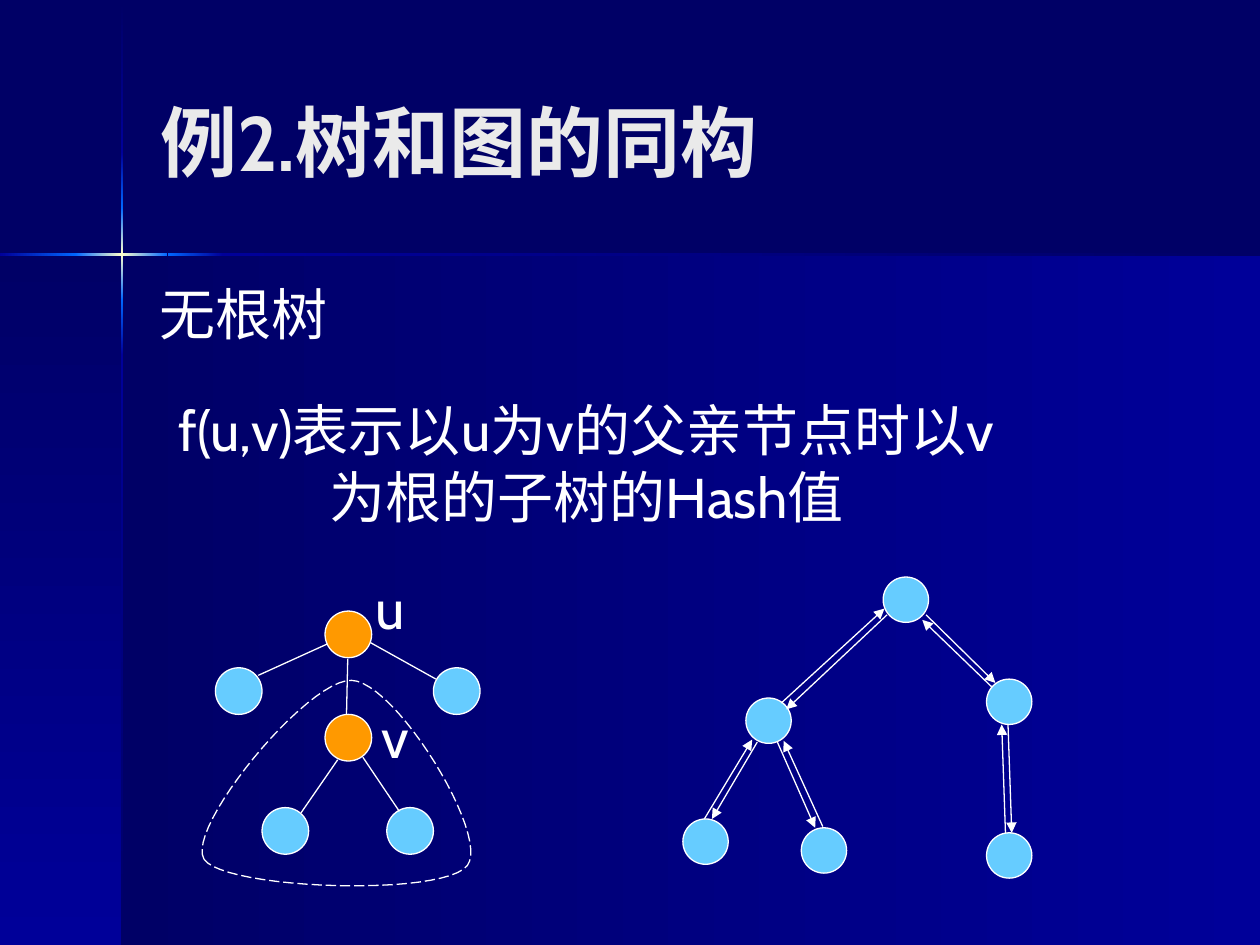
import copy
from pptx import Presentation
from pptx import util as u
from pptx.dml.color import RGBColor
from pptx.enum import dml, shapes, text
from pptx.oxml.ns import qn
from lxml import etree

Inches, Pt = u.Inches, u.Pt


def rgb(value):
    return RGBColor.from_string(value)


def write(sp, box, value, size, color, align, anchor=text.MSO_ANCHOR.TOP, bold=False):
    sp.left, sp.top, sp.width, sp.height = [Inches(v) for v in box]
    tf = sp.text_frame
    tf.word_wrap = True
    tf.auto_size = text.MSO_AUTO_SIZE.NONE
    tf.vertical_anchor = anchor
    p = tf.paragraphs[0]
    p.alignment = align
    r = p.add_run()
    r.text = value
    r.font.size, r.font.name, r.font.bold = Pt(size), "Cabin", bold
    r.font.color.rgb = rgb(color)


prs = Presentation()
prs.slide_width, prs.slide_height = Inches(10), Inches(7.5)
s = prs.slides.add_slide(prs.slide_layouts[5])
s.background.fill.solid()
s.background.fill.fore_color.rgb = rgb("000066")

NAVY, BLUE, BRIGHT, GLOW = "000066", "000099", "0066FF", "FFFFCC"
DOWN, LEFTWARD = 270, 180
bands = [
    (0.97, 2.02, 9.03, 5.48, [BLUE, NAVY], LEFTWARD),
    (0, 2.02, 0.97, 5.48, [NAVY, BLUE], DOWN),
    (0.96, 0.01, 0.02, 1.2, [NAVY, BLUE], DOWN),
    (0.96, 2.82, 0.02, 4.68, [BLUE, NAVY], DOWN),
    (1.77, 2.01, 8.23, 0.02, [NAVY, BLUE], LEFTWARD),
    (0.96, 2.38, 0.02, 0.44, [BRIGHT, BLUE], DOWN),
    (0.96, 1.21, 0.02, 0.44, [BLUE, BRIGHT], DOWN),
    (0.96, 1.65, 0.02, 0.73, [BRIGHT, GLOW, BRIGHT], DOWN),
    (0, 2.01, 0.61, 0.02, [BRIGHT, BLUE], LEFTWARD),
    (1.33, 2.01, 0.44, 0.02, [BLUE, BRIGHT], LEFTWARD),
    (0.6, 2.01, 0.73, 0.02, [BRIGHT, GLOW, BRIGHT], LEFTWARD),
]
for x, y, w, h, colors, angle in bands:
    sp = s.shapes.add_shape(shapes.MSO_SHAPE.RECTANGLE, Inches(x), Inches(y), Inches(w), Inches(h))
    sp.shadow.inherit = False
    sp.line.fill.background()
    sp.fill.gradient()
    sp.fill.gradient_angle = angle
    if len(colors) == 3:
        first = next(sp._element.iter(qn("a:gs")))
        middle = copy.deepcopy(first)
        middle.set("pos", "50000")
        first.addnext(middle)
    for stop, color in zip(sp.fill.gradient_stops, colors):
        stop.color.rgb = rgb(color)

title = s.shapes.title
write(title, (1.17, 0.33, 8.25, 1.57), "例2.树和图的同构", 44, "EAEAEA",
      text.PP_ALIGN.LEFT, text.MSO_ANCHOR.MIDDLE, True)
s.shapes._spTree.append(title._element)

labels = [
    ((1.17, 2.17, 8.25, 0.72), "无根树", text.PP_ALIGN.LEFT),
    ((1.17, 3.09, 6.97, 1.17), "f(u,v)表示以u为v的父亲节点时以v为根的子树的Hash值", text.PP_ALIGN.CENTER),
    ((2.65, 4.5, 0.89, 0.64), "u", text.PP_ALIGN.CENTER),
    ((2.69, 5.53, 0.89, 0.64), "v", text.PP_ALIGN.CENTER),
]
for box, value, align in labels:
    write(s.shapes.add_textbox(0, 0, 0, 0), box, value, 32, "FFFFFF", align)

ORANGE, SKY = "FF9900", "66CCFF"
nodes = [(2.58, 4.85, 0.37, ORANGE), (2.58, 5.67, 0.37, ORANGE)]
nodes += [(x, y, 0.37, SKY) for x, y in [(1.71, 5.3), (3.44, 5.3), (2.08, 6.41), (3.07, 6.41)]]
nodes += [(x, y, 0.36, SKY) for x, y in
          [(7.01, 4.58), (5.92, 5.54), (7.83, 5.39), (7.83, 6.61), (6.36, 6.57), (5.42, 6.5)]]
for x, y, d, color in nodes:
    sp = s.shapes.add_shape(shapes.MSO_SHAPE.OVAL, Inches(x), Inches(y), Inches(d), Inches(d))
    sp.shadow.inherit = False
    sp.fill.solid()
    sp.fill.fore_color.rgb = rgb(color)
    sp.line.color.rgb = rgb("FFFFFF")
    sp.line.width = Pt(0.75)

edges = [
    (2.76, 5.23, 2.75, 5.67), (2.05, 5.36, 2.6, 5.11), (2.94, 5.1, 3.46, 5.39),
    (2.68, 6.03, 2.39, 6.45), (2.88, 6.01, 3.17, 6.44),
]
arrows = [
    (7.04, 4.88, 6.24, 5.63), (6.2, 5.58, 7.02, 4.83),
    (7.35, 4.88, 7.9, 5.42), (7.87, 5.45, 7.32, 4.92),
    (8, 5.75, 8.03, 6.61), (7.98, 6.61, 7.95, 5.75),
    (6.17, 5.89, 6.47, 6.57), (6.53, 6.56, 6.22, 5.88),
    (6.01, 5.89, 5.65, 6.5), (5.59, 6.5, 5.97, 5.87),
]
for ends in edges + arrows:
    cx = s.shapes.add_connector(shapes.MSO_CONNECTOR.STRAIGHT, *[Inches(v) for v in ends])
    cx.line.color.rgb = rgb("FFFFFF")
    cx.line.width = Pt(0.75)
    if ends in arrows:
        etree.SubElement(cx.line._get_or_add_ln(), qn("a:tailEnd"), type="triangle")
    etree.SubElement(cx._element.spPr, qn("a:effectLst"))

start = (1.62, 6.82)
curves = [
    [(1.47, 6.57), (2.44, 5.39), (2.79, 5.4)],
    [(3.14, 5.41), (3.89, 6.63), (3.71, 6.87)],
    [(3.52, 7.12), (1.78, 7.06), start],
]
STEPS = 24
points, a = [], start
for b, c, d in curves:
    for i in range(1, STEPS + 1):
        t = i / STEPS
        points.append([Inches((1 - t) ** 3 * a[k] + 3 * t * (1 - t) ** 2 * b[k]
                              + 3 * t ** 2 * (1 - t) * c[k] + t ** 3 * d[k]) for k in (0, 1)])
    a = d
outline = s.shapes.build_freeform(Inches(start[0]), Inches(start[1]))
outline.add_line_segments(points, close=True)
sp = outline.convert_to_shape()
sp.shadow.inherit = False
sp.fill.background()
sp.line.color.rgb = rgb("FFFFFF")
sp.line.width = Pt(0.75)
sp.line.dash_style = dml.MSO_LINE.LONG_DASH

prs.save("out.pptx")
